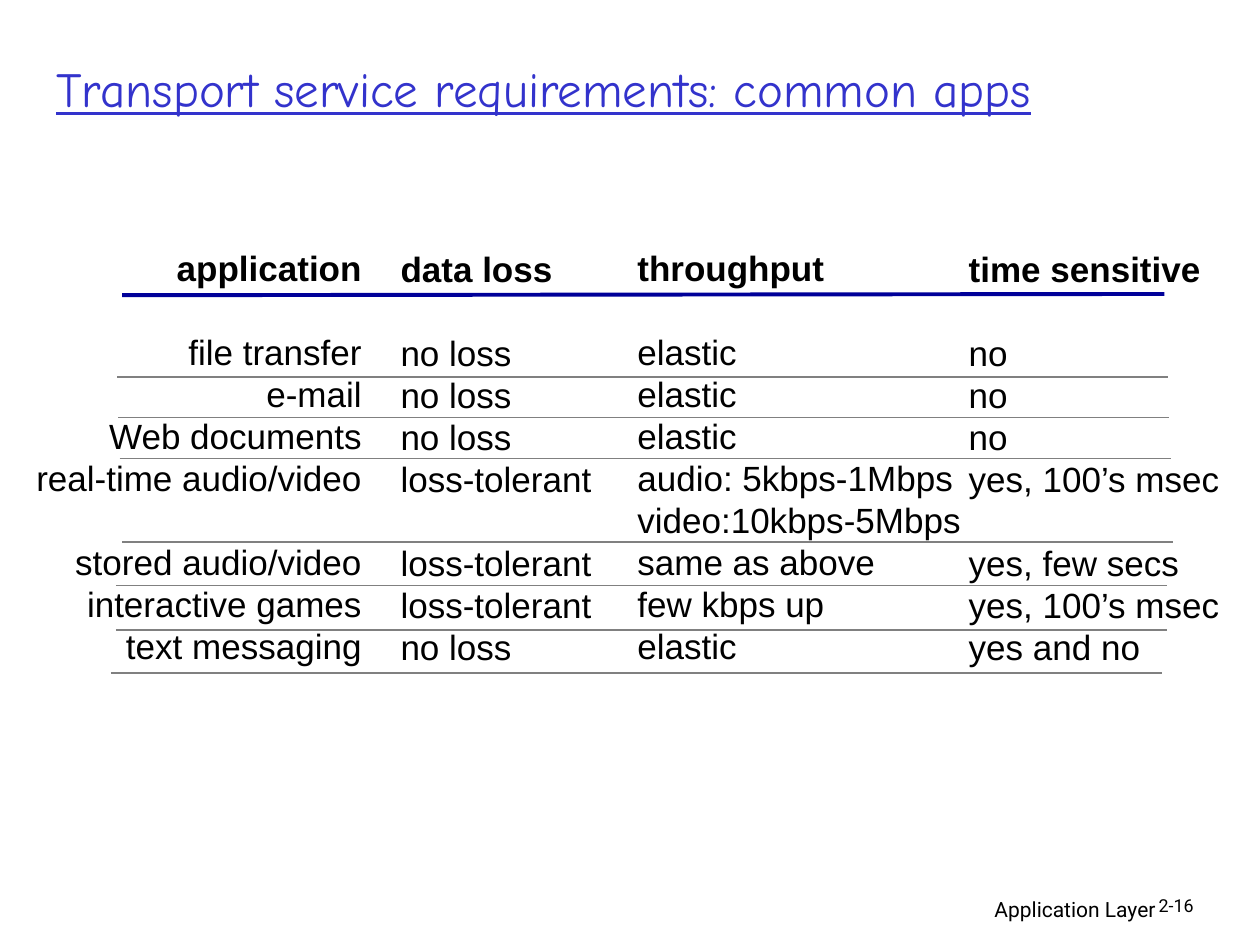
import pptx
import pptx.dml.color
import pptx.enum.shapes
import pptx.enum.text
import pptx.util

Pt = pptx.util.Pt
RGBColor = pptx.dml.color.RGBColor
ALIGN = pptx.enum.text.PP_ALIGN
ANCHOR = pptx.enum.text.MSO_ANCHOR

BLACK = RGBColor(0x00, 0x00, 0x00)
TITLE_BLUE = RGBColor(0x33, 0x33, 0xCC)
HEADER_BLUE = RGBColor(0x00, 0x00, 0x99)
GRAY = RGBColor(0x80, 0x80, 0x80)

ROW_HEIGHT = 24
RULE_LENGTH = 600.5

# Left, top, width, alignment, heading, entries; None leaves a row empty.
COLUMNS = [
    (12.8, 137.5, 201, ALIGN.RIGHT, "application",
     [None, "file transfer", "e-mail", "Web documents", "real-time audio/video",
      None, "stored audio/video", "interactive games", "text messaging"]),
    (221.8, 138, 124, ALIGN.LEFT, "data loss",
     [None, "no loss", "no loss", "no loss", "loss-tolerant",
      None, "loss-tolerant", "loss-tolerant", "no loss"]),
    (357.1, 137.5, 203, ALIGN.LEFT, "throughput",
     [None, "elastic", "elastic", "elastic", "audio: 5kbps-1Mbps",
      "video:10kbps-5Mbps", "same as above", "few kbps up", "elastic"]),
    (546.5, 138, 163, ALIGN.LEFT, "time sensitive",
     [None, "no", "no", "no", "yes, 100’s msec",
      None, "yes, few secs", "yes, 100’s msec", "yes and no"]),
]

# Left end and height of the line under each row.
ROW_RULES = [(67, 215.3), (67.7, 238.6), (68.4, 262), (69.8, 309.8),
             (66.2, 334.6), (66.2, 360), (63.4, 384.6)]


def write(p, text, font="Arial", size=20, color=BLACK, bold=False,
          underline=False, align=ALIGN.LEFT):
    p.alignment = align
    r = p.add_run()
    r.text = text
    r.font.name = font
    r.font.size = Pt(size)
    r.font.color.rgb = color
    r.font.bold = bold
    r.font.underline = underline


class SlideBuilder:
    """Holds the slide and the fonts its elements share."""

    title_font = "Comic Neue"
    footer_font = "Roboto"

    def __init__(self, prs):
        self.s = prs.slides.add_slide(prs.slide_layouts[5])

    def title(self, text, left, top, width, height):
        sp = self.s.shapes.title
        sp.left, sp.top, sp.width, sp.height = map(Pt, (left, top, width, height))
        tf = sp.text_frame
        tf.vertical_anchor = ANCHOR.MIDDLE
        write(tf.paragraphs[0], text, font=self.title_font, size=28,
              color=TITLE_BLUE, underline=True)

    def text_frame(self, left, top, width, height):
        sp = self.s.shapes.add_textbox(*map(Pt, (left, top, width, height)))
        sp.text_frame.word_wrap = True
        return sp.text_frame

    def footer(self, text, left, top, width, height, spacing=1.0, **fmt):
        p = self.text_frame(left, top, width, height).paragraphs[0]
        p.line_spacing = spacing
        write(p, text, font=self.footer_font, **fmt)

    def column(self, left, top, width, align, heading, entries):
        tf = self.text_frame(left, top, width, 247.7)
        p = tf.paragraphs[0]
        p.line_spacing = Pt(ROW_HEIGHT)
        write(p, heading, bold=True, align=align)
        gap = 0
        for entry in entries:
            if entry is None:
                gap += ROW_HEIGHT
                continue
            p = tf.add_paragraph()
            p.line_spacing = Pt(ROW_HEIGHT)
            p.space_before = Pt(gap)
            write(p, entry, align=align)
            gap = 0

    def rule(self, x1, y1, x2, y2, color=GRAY, weight=1):
        line = self.s.shapes.add_connector(
            pptx.enum.shapes.MSO_CONNECTOR.STRAIGHT, *map(Pt, (x1, y1, x2, y2)))
        line.line.color.rgb = color
        line.line.width = Pt(weight)
        sp_pr = line._element.spPr
        sp_pr.append(sp_pr.makeelement(pptx.oxml.ns.qn("a:effectLst"), {}))


def main():
    prs = pptx.Presentation()
    prs.slide_width, prs.slide_height = Pt(720), Pt(540)
    slide = SlideBuilder(prs)

    slide.footer("Application Layer", 439, 509, 228.5, 22, size=12, align=ALIGN.RIGHT)
    slide.footer("2-16", 655, 509, 53, 22, spacing=0.9, size=10.2)
    slide.title("Transport service requirements: common apps", 25, 18, 646, 64)

    for column in COLUMNS:
        slide.column(*column)
    slide.rule(69.8, 168.7, 665.3, 168, color=HEADER_BLUE, weight=2.25)
    for x, y in ROW_RULES:
        slide.rule(x, y, x + RULE_LENGTH, y)

    prs.save("out.pptx")


if __name__ == "__main__":
    main()
